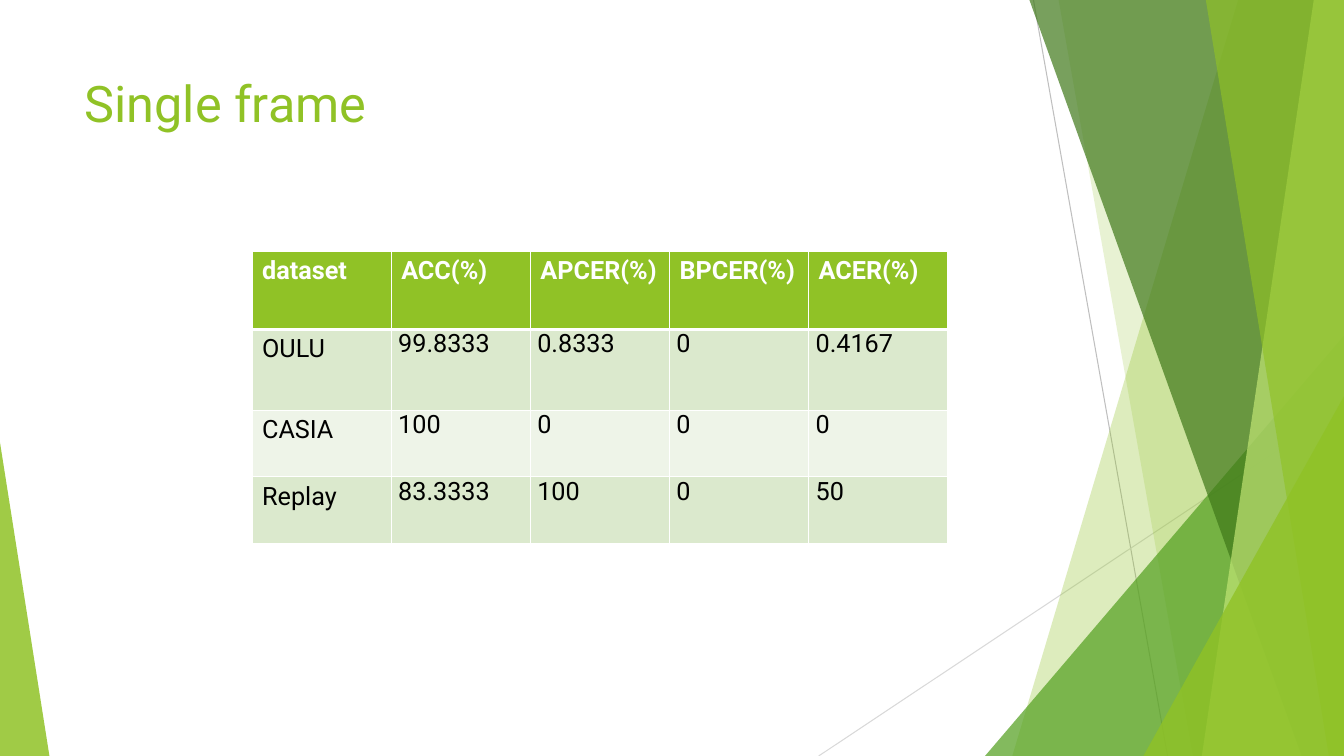
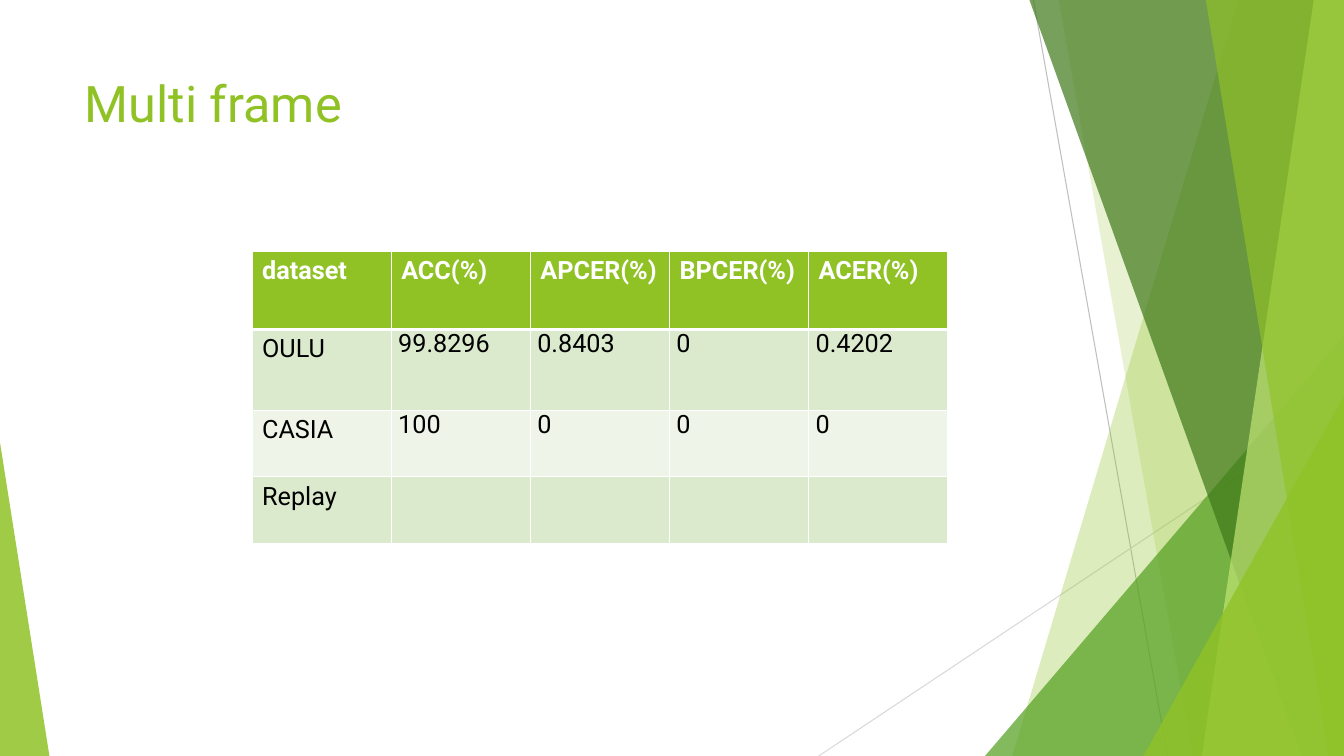
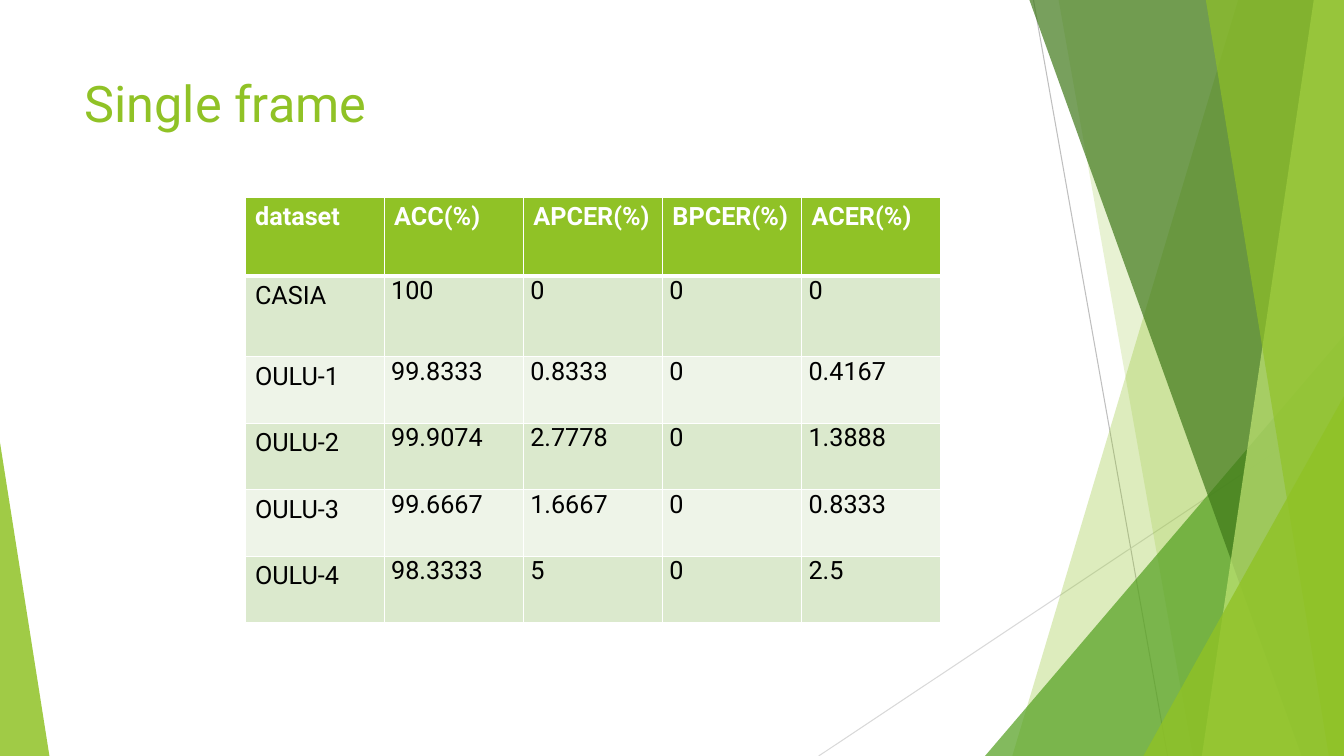
import lxml.etree
import pptx
import pptx.dml.color
import pptx.enum.shapes
import pptx.enum.text
import pptx.oxml.ns
import pptx.util

Inches = pptx.util.Inches
Pt = pptx.util.Pt
qn = pptx.oxml.ns.qn

FONT = "Roboto"
COLORS = {
    "lime": "90C226",
    "leaf": "54A021",
    "forest": "3F7819",
    "pale": "C0E474",
    "band_dark": "DBE9CD",
    "band_light": "EEF4E8",
    "line_dark": "BFBFBF",
    "line_light": "D9D9D9",
    "white": "FFFFFF",
    "black": "000000",
}
SLIDE_BOX = (0, 0, 13.33, 7.5)
TITLE_BOX = (0.74, 0.67, 9.4, 1.44)
COLUMN_WIDTH = 1.38
HEADER_HEIGHT, FIRST_HEIGHT, ROW_HEIGHT = 0.78, 0.8, 0.66
HEADINGS = ["dataset", "ACC(%)", "APCER(%)", "BPCER(%)", "ACER(%)"]
RESULTS = [
    ("Single frame", (2.5, 2.49), [
        ["OULU", "99.8333", "0.8333", "0", "0.4167"],
        ["CASIA", "100", "0", "0", "0"],
        ["Replay", "83.3333", "100", "0", "50"],
    ]),
    ("Multi frame", (2.5, 2.49), [
        ["OULU", "99.8296", "0.8403", "0", "0.4202"],
        ["CASIA", "100", "0", "0", "0"],
        ["Replay", "", "", "", ""],
    ]),
    ("Single frame", (2.43, 1.96), [
        ["CASIA", "100", "0", "0", "0"],
        ["OULU-1", "99.8333", "0.8333", "0", "0.4167"],
        ["OULU-2", "99.9074", "2.7778", "0", "1.3888"],
        ["OULU-3", "99.6667", "1.6667", "0", "0.8333"],
        ["OULU-4", "98.3333", "5", "0", "2.5"],
    ]),
]


def rgb(name):
    """Return the named palette colour."""
    return pptx.dml.color.RGBColor.from_string(COLORS[name])


def style_paragraph(paragraph, size, color, bold=False):
    """Set the shared font on a paragraph."""
    font = paragraph.font
    font.name, font.size, font.bold = FONT, Pt(size), bold
    font.color.rgb = rgb(color)
    paragraph.alignment = pptx.enum.text.PP_ALIGN.LEFT


def paint_glass(shape, color, opacity):
    """Give a shape a translucent fill without outline or shadow."""
    shape.shadow.inherit = False
    shape.fill.solid()
    shape.fill.fore_color.rgb = rgb(color)
    shape.line.fill.background()
    tint = shape.element.spPr.find(".//" + qn("a:srgbClr"))
    lxml.etree.SubElement(tint, qn("a:alpha"), val=str(opacity * 1000))


def add_ray(slide, start, end, color):
    """Draw a thin straight line between two points."""
    ray = slide.shapes.add_connector(
        pptx.enum.shapes.MSO_CONNECTOR.STRAIGHT,
        *(Inches(value) for value in start + end))
    ray.line.color.rgb = rgb(color)
    ray.line.width = Pt(0.75)
    lxml.etree.SubElement(ray.element.spPr, qn("a:effectLst"))


def add_panel(slide, box, top_inset, bottom_inset, color, opacity):
    """Fill from a slanted edge to the right side of the box."""
    left, top, width, height = box
    right, bottom = left + width, top + height
    corners = [(right - top_inset, top), (right, top), (right, bottom), (right - bottom_inset, bottom)]
    points = [(Inches(x), Inches(y)) for x, y in corners]
    outline = slide.shapes.build_freeform(*points[0])
    outline.add_line_segments(points[1:], close=True)
    paint_glass(outline.convert_to_shape(), color, opacity)


def add_wedge(slide, box, width, height, apex, color, opacity):
    """Place a right triangle in the lower left (apex 0) or right (apex 1) corner."""
    left, top, box_width, box_height = box
    wedge = slide.shapes.add_shape(
        pptx.enum.shapes.MSO_SHAPE.ISOSCELES_TRIANGLE,
        Inches(left + apex * (box_width - width)), Inches(top + box_height - height),
        Inches(width), Inches(height))
    wedge.adjustments[0] = apex
    paint_glass(wedge, color, opacity)


def add_facets(slide, box):
    """Draw the faceted side decoration within the slide box."""
    left, top, width, height = box
    right, bottom = left + width, top + height
    add_ray(slide, (right - 3.08, top), (right - 1.75, bottom), "line_dark")
    add_ray(slide, (right, top + 4.03), (right - 5.21, bottom), "line_light")
    add_panel(slide, box, 1.05, 3.29, "lime", 30)
    add_panel(slide, box, 2.83, 1.5, "lime", 20)
    add_wedge(slide, box, 3.56, 4.17, 1, "leaf", 72)
    add_panel(slide, box, 3.12, 0.42, "forest", 70)
    add_panel(slide, box, 0.3, 1.41, "pale", 70)
    add_panel(slide, box, 1.37, 0.15, "lime", 65)
    add_wedge(slide, box, 1.99, 3.57, 1, "lime", 80)
    add_wedge(slide, box, 0.49, 3.11, 0, "lime", 85)


def add_title(slide, box, wording):
    """Move and format the title placeholder."""
    title = slide.shapes.title
    title.left, title.top, title.width, title.height = (Inches(value) for value in box)
    frame = title.text_frame
    frame.text = wording
    frame.word_wrap = True
    frame.auto_size = pptx.enum.text.MSO_AUTO_SIZE.NONE
    frame.vertical_anchor = pptx.enum.text.MSO_ANCHOR.TOP
    style_paragraph(frame.paragraphs[0], 36, "lime")


def add_borders(cell, bottom_width):
    """Rule all four sides of a cell in white."""
    properties = cell._tc.get_or_add_tcPr()
    for side, width in (("L", 1), ("R", 1), ("T", 1), ("B", bottom_width)):
        edge = lxml.etree.SubElement(properties, qn("a:ln" + side), w=str(Pt(width)))
        paint = lxml.etree.SubElement(edge, qn("a:solidFill"))
        lxml.etree.SubElement(paint, qn("a:srgbClr"), val=COLORS["white"])


def fill_cell(cell, wording, row, column):
    """Write and format a cell according to its place in the table."""
    header = row == 0
    add_borders(cell, 3 if header else 1)
    cell.fill.solid()
    band = "band_dark" if row % 2 else "band_light"
    cell.fill.fore_color.rgb = rgb("lime" if header else band)
    cell.text = wording
    style_paragraph(cell.text_frame.paragraphs[0], 18, "white" if header else "black", header)
    if not header and column and wording:
        cell.margin_left = cell.margin_right = Inches(0.07)
        cell.margin_top = cell.margin_bottom = 0


def add_results(slide, corner, datasets):
    """Place the metrics table with its top left at the corner."""
    rows = [HEADINGS] + datasets
    heights = [HEADER_HEIGHT, FIRST_HEIGHT] + [ROW_HEIGHT] * (len(rows) - 2)
    left, top = corner
    results = slide.shapes.add_table(
        len(rows), len(HEADINGS), Inches(left), Inches(top),
        Inches(COLUMN_WIDTH * len(HEADINGS)), Inches(sum(heights))).table
    for column in results.columns:
        column.width = Inches(COLUMN_WIDTH)
    for row, (height, wordings) in enumerate(zip(heights, rows)):
        results.rows[row].height = Inches(height)
        for column, wording in enumerate(wordings):
            fill_cell(results.cell(row, column), wording, row, column)


def main():
    """Build and save the presentation."""
    deck = pptx.Presentation()
    deck.slide_width, deck.slide_height = Inches(SLIDE_BOX[2]), Inches(SLIDE_BOX[3])
    for title, corner, datasets in RESULTS:
        slide = deck.slides.add_slide(deck.slide_layouts[5])
        add_facets(slide, SLIDE_BOX)
        add_title(slide, TITLE_BOX, title)
        add_results(slide, corner, datasets)
    deck.save("out.pptx")


if __name__ == "__main__":
    main()
